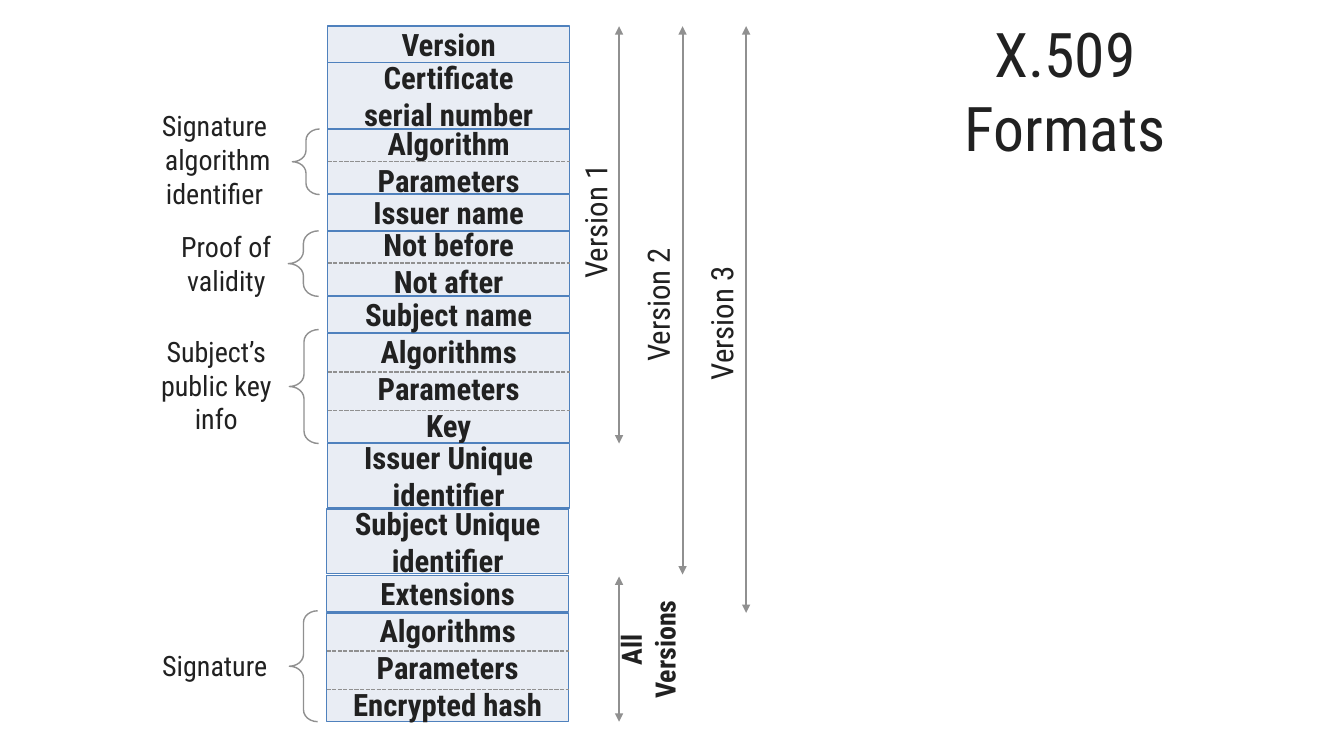
import pptx
import pptx.util
import pptx.dml.color
import pptx.enum.dml
import pptx.enum.shapes
import pptx.enum.text
import pptx.oxml.ns
import pptx.oxml.xmlchemy

Inches = pptx.util.Inches
Pt = pptx.util.Pt
SHAPE = pptx.enum.shapes.MSO_SHAPE

FONT = "Roboto Condensed"
INK, GREY, BLUE, PALE = "212121", "909090", "4F81BD", "E9EDF4"


def rgb(value):
    return pptx.dml.color.RGBColor.from_string(value)


class Diagram:
    """Style and current slide, with one method per kind of element."""

    def __init__(self, slide):
        self.shapes = slide.shapes

    def add_lines(self, tf, lines, size, bold=False):
        tf.word_wrap = True
        for i, line in enumerate(lines):
            p = tf.add_paragraph() if i else tf.paragraphs[0]
            p.alignment = pptx.enum.text.PP_ALIGN.CENTER
            r = p.add_run()
            r.text = line
            r.font.size = Pt(size)
            r.font.name = FONT
            r.font.bold = bold
            r.font.color.rgb = rgb(INK)

    def label(self, box, lines, size, bold=False, upright=False):
        sp = self.shapes.add_textbox(*map(Inches, box))
        if upright:
            sp.text_frame._txBody.bodyPr.set("vert", "vert270")
        self.add_lines(sp.text_frame, lines, size, bold)

    def shape(self, kind, box, line, fill=None):
        sp = self.shapes.add_shape(kind, *map(Inches, box))
        sp.shadow.inherit = False
        if fill:
            sp.fill.solid()
            sp.fill.fore_color.rgb = rgb(fill)
        else:
            sp.fill.background()
        sp.line.color.rgb = rgb(line)
        sp.line.width = Pt(1)
        return sp

    def field(self, box, lines):
        sp = self.shape(SHAPE.RECTANGLE, box, BLUE, PALE)
        sp.text_frame.vertical_anchor = pptx.enum.text.MSO_ANCHOR.MIDDLE
        self.add_lines(sp.text_frame, lines, 22, True)

    def brace(self, box):
        sp = self.shape(SHAPE.LEFT_BRACE, box, GREY)
        sp.adjustments[0] = 0.415

    def line(self, x1, y1, x2, y2, width):
        cxn = self.shapes.add_connector(
            pptx.enum.shapes.MSO_CONNECTOR.STRAIGHT,
            *map(Inches, (x1, y1, x2, y2)))
        cxn.line.color.rgb = rgb(GREY)
        cxn.line.width = Pt(width)
        cxn._element.spPr.append(pptx.oxml.xmlchemy.OxmlElement("a:effectLst"))
        return cxn

    def divider(self, x, y, width):
        cxn = self.line(x, y, x + width, y, 1)
        cxn.line.dash_style = pptx.enum.dml.MSO_LINE.SQUARE_DOT

    def span(self, x, top, bottom):
        cxn = self.line(x, top, x, bottom, 1.5)
        ln = cxn._element.spPr.find(pptx.oxml.ns.qn("a:ln"))
        for end in ("a:headEnd", "a:tailEnd"):
            arrow = pptx.oxml.xmlchemy.OxmlElement(end)
            arrow.set("type", "triangle")
            ln.append(arrow)


FIELD_WIDTH = 2.4
# Left, top, height, lines, spacing of the dashed dividers (0 for none)
FIELDS = [
    (3.25, 0.26, 0.36, ["Version"], 0),
    (3.25, 0.62, 0.66, ["Certificate", "serial number"], 0),
    (3.25, 1.28, 0.64, ["Algorithm", "Parameters"], 0.32),
    (3.25, 1.93, 0.36, ["Issuer name"], 0),
    (3.25, 2.29, 0.64, ["Not before", "Not after"], 0.32),
    (3.25, 2.94, 0.36, ["Subject name"], 0),
    (3.25, 3.31, 1.08, ["Algorithms", "Parameters", "Key"], 0.38),
    (3.25, 4.4, 0.64, ["Issuer Unique identifier"], 0),
    (3.24, 5.05, 0.64, ["Subject Unique identifier"], 0),
    (3.24, 5.71, 0.36, ["Extensions"], 0),
    (3.24, 6.08, 1.08, ["Algorithms", "Parameters", "Encrypted hash"], 0.38),
]
# Brace box, label box, label lines
GROUPS = [
    ((2.9, 1.28, 0.27, 0.65), (1.34, 1.03, 1.64, 1.78),
     ["Signature ", "algorithm", "identifier "]),
    ((2.86, 2.29, 0.3, 0.65), (1.53, 2.23, 1.43, 1.11), ["Proof of validity"]),
    ((2.87, 3.27, 0.29, 1.13), (1.32, 3.27, 1.65, 1.11),
     ["Subject’s public key info"]),
    ((2.87, 6.06, 0.28, 1.1), (1.32, 6.38, 1.62, 0.77), ["Signature"]),
]
# Arrow x, top and bottom, label box, label lines, size, bold
SPANS = [
    (6.14, 0.26, 4.4, (5.67, 1.47, 0.57, 1.46), ["Version 1"], 22, False),
    (6.77, 0.26, 5.7, (6.29, 2.28, 0.57, 1.49), ["Version 2"], 22, False),
    (7.4, 0.26, 6.08, (6.92, 2.48, 0.57, 1.46), ["Version 3"], 22, False),
    (6.14, 5.72, 7.16, (6.04, 5.71, 1.21, 1.47), ["All", "Versions"], 20, True),
]


def main():
    prs = pptx.Presentation()
    prs.slide_width, prs.slide_height = Inches(13.33), Inches(7.5)
    d = Diagram(prs.slides.add_slide(prs.slide_layouts[6]))

    # Title
    d.label((9.23, 0.11, 2.67, 0.88), ["X.509 Formats"], 44)

    # Certificate fields
    for left, top, height, lines, step in FIELDS:
        d.field((left, top, FIELD_WIDTH, height), lines)
        if step:
            for i in range(1, len(lines)):
                d.divider(left, top + i * step, FIELD_WIDTH)

    # Braces with the names of the field groups
    for brace, box, lines in GROUPS:
        d.brace(brace)
        d.label(box, lines, 20)

    # Fields covered by each version
    for x, top, bottom, box, lines, size, bold in SPANS:
        d.span(x, top, bottom)
        d.label(box, lines, size, bold, upright=True)

    prs.save("out.pptx")


if __name__ == "__main__":
    main()
